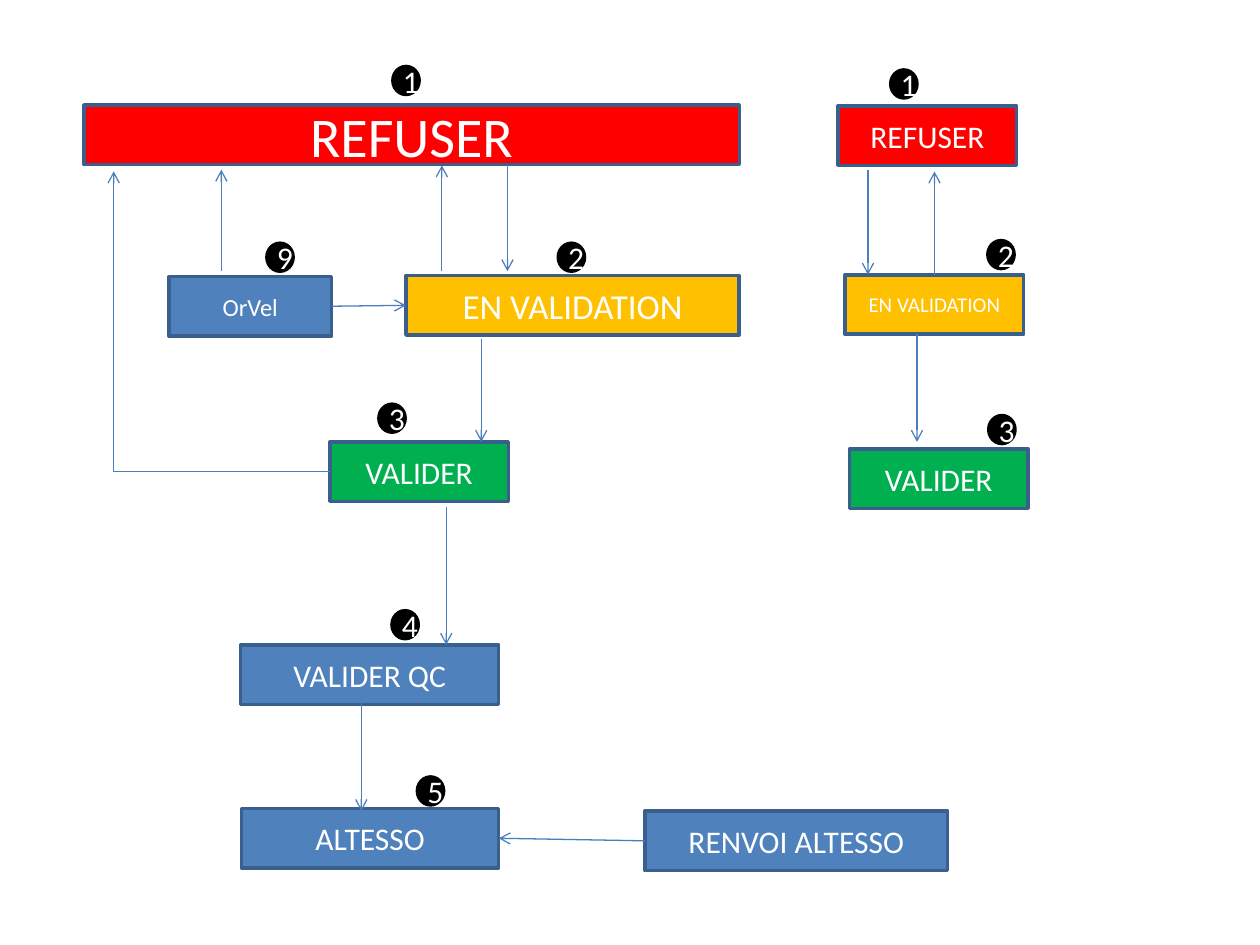
from dataclasses import dataclass

from pptx import Presentation
from pptx import util as u
from pptx.dml import color
from pptx.enum import shapes, text
from pptx.oxml import ns, xmlchemy

TOP, LEFT, BOTTOM, RIGHT = range(4)


@dataclass(frozen=True)
class Theme:
    """Colours, type sizes and shared measures of the slide."""
    font: str = "Calibri"
    white: str = "FFFFFF"
    black: str = "000000"
    red: str = "FF0000"
    amber: str = "FFC000"
    green: str = "00B050"
    blue: str = "4F81BD"
    border: str = "3A5F8C"
    arrow: str = "4B7EBC"
    title: int = 32
    large: int = 20
    normal: int = 18
    small: int = 14
    tiny: int = 12
    border_width: float = 2
    arrow_width: float = 0.75
    step_height: float = 34
    badge_width: float = 15
    badge_height: float = 16


THEME = Theme()


def rgb(value):
    """Return a colour from its hexadecimal form."""
    return color.RGBColor.from_string(value)


def add_label(slide, kind, box, label, fill, border, size):
    """Add a filled shape with centred white text."""
    shape = slide.shapes.add_shape(kind, *(u.Pt(value) for value in box))
    shape.shadow.inherit = False
    shape.fill.solid()
    shape.fill.fore_color.rgb = rgb(fill)
    shape.line.color.rgb = rgb(border)
    shape.line.width = u.Pt(THEME.border_width)
    shape.text_frame.vertical_anchor = text.MSO_ANCHOR.MIDDLE
    paragraph = shape.text_frame.paragraphs[0]
    paragraph.alignment = text.PP_ALIGN.CENTER
    run = paragraph.add_run()
    run.text = label
    run.font.name = THEME.font
    run.font.size = u.Pt(size)
    run.font.color.rgb = rgb(THEME.white)
    return shape


def add_steps(slide, box, steps):
    """Add the workflow boxes and return them by name."""
    left, top = box[:2]
    return {
        label: add_label(slide, shapes.MSO_SHAPE.RECTANGLE,
                         (left + x, top + y, width, THEME.step_height),
                         label, fill, THEME.border, size)
        for label, x, y, width, fill, size in steps
    }


def add_badges(slide, box, badges):
    """Add the numbered black circles."""
    left, top = box[:2]
    for number, x, y in badges:
        add_label(slide, shapes.MSO_SHAPE.OVAL,
                  (left + x, top + y, THEME.badge_width, THEME.badge_height),
                  number, THEME.black, THEME.black, THEME.normal)


def add_arrow(slide, start, end, kind=shapes.MSO_CONNECTOR.STRAIGHT):
    """Add a thin connector with an open arrowhead at its end."""
    connector = slide.shapes.add_connector(
        kind, *(u.Pt(value) for value in (*start, *end)))
    connector.line.color.rgb = rgb(THEME.arrow)
    connector.line.width = u.Pt(THEME.arrow_width)
    head = xmlchemy.OxmlElement("a:tailEnd")
    head.set("type", "arrow")
    connector.line._get_or_add_ln().append(head)
    connector._element.spPr.append(xmlchemy.OxmlElement("a:effectLst"))
    return connector


def add_vertical_arrows(slide, box, arrows):
    """Add vertical arrows given as x, start y and end y."""
    left, top = box[:2]
    for x, start, end in arrows:
        add_arrow(slide, (left + x, top + start), (left + x, top + end))


def join(slide, source, source_side, target, target_side):
    """Join the sides of two boxes with an arrow."""
    connector = add_arrow(slide, (0, 0), (0, 0))
    connector.begin_connect(source, source_side)
    connector.end_connect(target, target_side)


def add_return_arrow(slide, source, end):
    """Lead from the left of a box sideways and then up to a point."""
    start = source.left.pt, (source.top + source.height / 2) / u.Pt(1)
    connector = add_arrow(slide, start, end, shapes.MSO_CONNECTOR.ELBOW)
    connector.begin_connect(source, LEFT)
    geometry = connector._element.spPr.find(ns.qn("a:prstGeom"))
    geometry.set("prst", "bentConnector2")


def add_full_flow(slide, box):
    """Build the complete workflow on the left."""
    left, top, width = box
    steps = add_steps(slide, box, [
        ("OrVel", 48.5, 120, 93, THEME.blue, THEME.small),
        ("EN VALIDATION", 184, 119.5, width - 184, THEME.amber, THEME.large),
        ("REFUSER", 0, 22, width, THEME.red, THEME.title),
        ("VALIDER", 140.5, 214.5, 102, THEME.green, THEME.normal),
        ("VALIDER QC", 89.5, 330.5, 147.5, THEME.blue, THEME.normal),
        ("ALTESSO", 90, 424, 147, THEME.blue, THEME.normal),
        ("RENVOI ALTESSO", 320.5, 425.5, 173, THEME.blue, THEME.normal),
    ])
    add_badges(slide, box, [
        ("1", 176.5, 0), ("2", 271, 101), ("9", 104.5, 101),
        ("3", 168.5, 193), ("4", 176, 311), ("5", 190.5, 406),
    ])
    add_vertical_arrows(slide, box, [
        (78.5, 117, 59), (204.5, 117, 56.5), (242, 56.5, 117),
        (227, 155.5, 214.5), (207, 252, 330.5), (158.5, 362.5, 425.5),
    ])
    join(slide, steps["OrVel"], RIGHT, steps["EN VALIDATION"], LEFT)
    join(slide, steps["RENVOI ALTESSO"], LEFT, steps["ALTESSO"], RIGHT)
    add_return_arrow(slide, steps["VALIDER"], (left + 17, top + 60))


def add_short_flow(slide, box):
    """Build the three-step workflow on the right."""
    width = box[2]
    add_steps(slide, box, [
        ("EN VALIDATION", 4, 117, width, THEME.amber, THEME.tiny),
        ("REFUSER", 0, 20.5, width, THEME.red, THEME.normal),
        ("VALIDER", 6.5, 216.5, width, THEME.green, THEME.normal),
    ])
    add_badges(slide, box, [("1", 30, 0), ("2", 85.5, 97.5), ("3", 86, 197.5)])
    add_vertical_arrows(slide, box, [
        (17, 57, 117), (55, 117, 58), (45, 151, 212.5),
    ])


def main():
    """Create the slide and save it."""
    presentation = Presentation()
    presentation.slide_width = u.Pt(720)
    presentation.slide_height = u.Pt(540)
    slide = presentation.slides.add_slide(presentation.slide_layouts[6])
    add_full_flow(slide, (48, 38, 374.5))
    add_short_flow(slide, (479, 40, 102))
    presentation.save("out.pptx")


if __name__ == "__main__":
    main()
